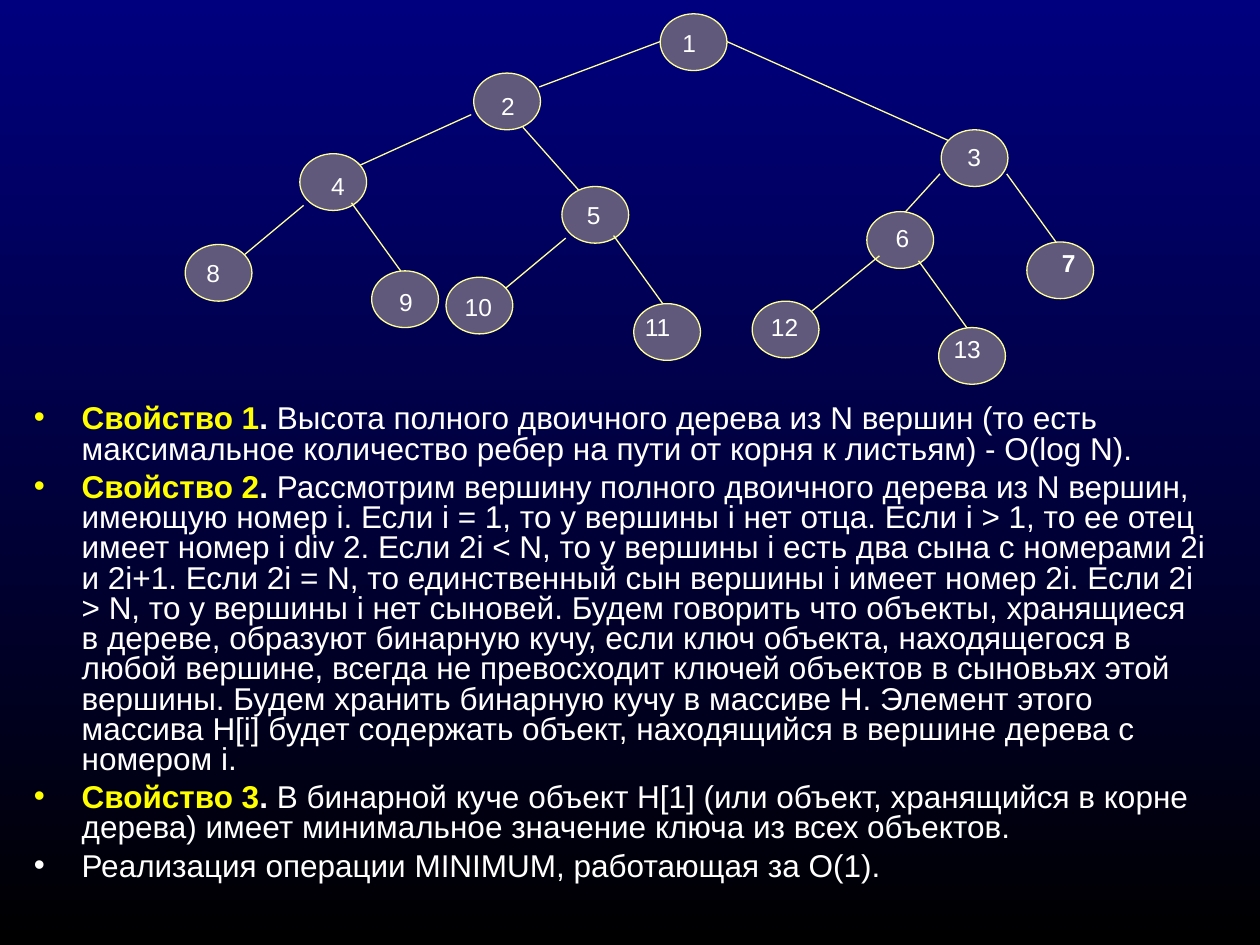
"""Build a slide on the properties of a binary heap, with its tree diagram."""
from lxml.etree import SubElement
from pptx import Presentation
from pptx.dml.color import RGBColor
from pptx.enum.shapes import MSO_CONNECTOR, MSO_SHAPE
from pptx.enum.text import MSO_ANCHOR, PP_ALIGN
from pptx.oxml.ns import qn
from pptx.util import Inches, Pt

COLORS = {
    "sky": "00007E",
    "night": "000000",
    "node": "60597B",
    "edge": "FFFF99",
    "accent": "FFFF00",
    "text": "FFFFFF",
}
NODE_WIDTH, NODE_HEIGHT = 0.53, 0.45
INDENT = 0.38

NODES = [
    ("1", (5.24, 0.11), None, None),
    ("2", (3.76, 0.58), (3.88, 0.67), (5.24, 0.33, 4.28, 0.69)),
    ("3", (7.47, 1.03), (7.58, 1.08), (5.77, 0.33, 7.56, 1.13)),
    ("4", (2.38, 1.22), (2.53, 1.31), (3.74, 0.91, 2.86, 1.31)),
    ("5", (4.46, 1.48), (4.56, 1.54), (4.15, 1.01, 4.62, 1.54)),
    ("6", (6.88, 1.68), (7.01, 1.72), (7.46, 1.38, 7.16, 1.71)),
    ("7", (8.15, 1.92), (8.33, 1.92), (7.99, 1.38, 8.38, 1.92)),
    ("8", (1.47, 1.94), (1.54, 2), (2.41, 1.63, 1.93, 2.03)),
    ("9", (2.95, 2.15), (3.07, 2.23), (2.79, 1.61, 3.18, 2.15)),
    ("10", (3.54, 2.2), (3.59, 2.27), (4.49, 1.89, 4.01, 2.29)),
    ("11", (5.03, 2.41), (5.02, 2.43), (4.87, 1.87, 5.26, 2.41)),
    ("12", (5.97, 2.39), (6.02, 2.43), (6.98, 2.03, 6.43, 2.48)),
    ("13", (7.45, 2.6), (7.47, 2.6), (7.29, 2.07, 7.68, 2.61)),
]

PROPERTIES = [
    ("Свойство 1", "Высота полного двоичного дерева из N вершин (то есть "
     "максимальное количество ребер на пути от корня к листьям) - O(log N)."),
    ("Свойство 2", "Рассмотрим вершину полного двоичного дерева из N вершин, "
     "имеющую номер i. Если i = 1, то у вершины i нет отца. Если i > 1, то ее "
     "отец имеет номер i div 2. Если 2i < N, то у вершины i есть два сына с "
     "номерами 2i и 2i+1. Если 2i = N, то единственный сын вершины i имеет "
     "номер 2i. Если 2i > N, то у вершины i нет сыновей. Будем говорить что "
     "объекты, хранящиеся в дереве, образуют бинарную кучу, если ключ объекта, "
     "находящегося в любой вершине, всегда не превосходит ключей объектов в "
     "сыновьях этой вершины. Будем хранить бинарную кучу в массиве H. Элемент "
     "этого массива H[i] будет содержать объект, находящийся в вершине дерева "
     "с номером i."),
    ("Свойство 3", "В бинарной куче объект H[1] (или объект, хранящийся в корне "
     "дерева) имеет минимальное значение ключа из всех объектов."),
    (None, "Реализация операции MINIMUM, работающая за O(1)."),
]


def rgb(name):
    return RGBColor.from_string(COLORS[name])


def write(paragraph, words, size, color="text", bold=False):
    run = paragraph.add_run()
    run.text = words
    style = {"name": "Arial", "size": Pt(size), "bold": bold}
    for attribute, value in style.items():
        setattr(run.font, attribute, value)
    run.font.color.rgb = rgb(color)


deck = Presentation()
deck.slide_width, deck.slide_height = Inches(10), Inches(7.5)
slide = deck.slides.add_slide(deck.slide_layouts[6])
shapes = slide.shapes

backdrop = slide.background.fill
backdrop.gradient()
backdrop.gradient_angle = 270
for stop, position, shade in zip(backdrop.gradient_stops, (0, 1), ("sky", "night")):
    stop.position = position
    stop.color.rgb = rgb(shade)

properties = shapes.add_textbox(Inches(0.17), Inches(3.17), Inches(9.5), Inches(4.08))
properties.text_frame.word_wrap = True
for index, (title, statement) in enumerate(PROPERTIES):
    frame = properties.text_frame
    item = frame.add_paragraph() if index else frame.paragraphs[0]
    layout = {"line_spacing": 0.8, "space_before": Pt(4.5 if index else 0)}
    for attribute, value in layout.items():
        setattr(item, attribute, value)
    marks = item._p.get_or_add_pPr()
    marks.set("marL", str(Inches(INDENT)))
    marks.set("indent", str(Inches(-INDENT)))
    bullet_color = SubElement(marks, qn("a:buClr"))
    SubElement(bullet_color, qn("a:srgbClr"), val=COLORS["accent" if title else "text"])
    SubElement(marks, qn("a:buFont"), typeface="Arial")
    SubElement(marks, qn("a:buChar"), char="•")
    if title:
        write(item, title, 18, "accent", bold=True)
        write(item, ". ", 18, bold=True)
    write(item, statement, 18)

for number, corner, label_corner, edge_ends in NODES:
    if edge_ends:
        edge = shapes.add_connector(MSO_CONNECTOR.STRAIGHT, *map(Inches, edge_ends))
        edge.line.color.rgb = rgb("edge")
        edge.line.width = Pt(0.75)
        SubElement(edge._element.spPr, qn("a:effectLst"))

    node = shapes.add_shape(
        MSO_SHAPE.OVAL, *map(Inches, (*corner, NODE_WIDTH, NODE_HEIGHT)))
    node.shadow.inherit = False
    node.fill.solid()
    node.fill.fore_color.rgb = rgb("node")
    node.line.color.rgb = rgb("edge")
    node.line.width = Pt(0.75)

    label = node
    if label_corner:
        label_width = 0.8 if len(number) == 1 else 1.2
        label = shapes.add_textbox(*map(Inches, (*label_corner, label_width, 0.9)))
    label.text_frame.word_wrap = True
    label.text_frame.vertical_anchor = MSO_ANCHOR.TOP
    caption = label.text_frame.paragraphs[0]
    caption.alignment = PP_ALIGN.LEFT
    write(caption, number, 14, bold=number == "7")

deck.save("out.pptx")
